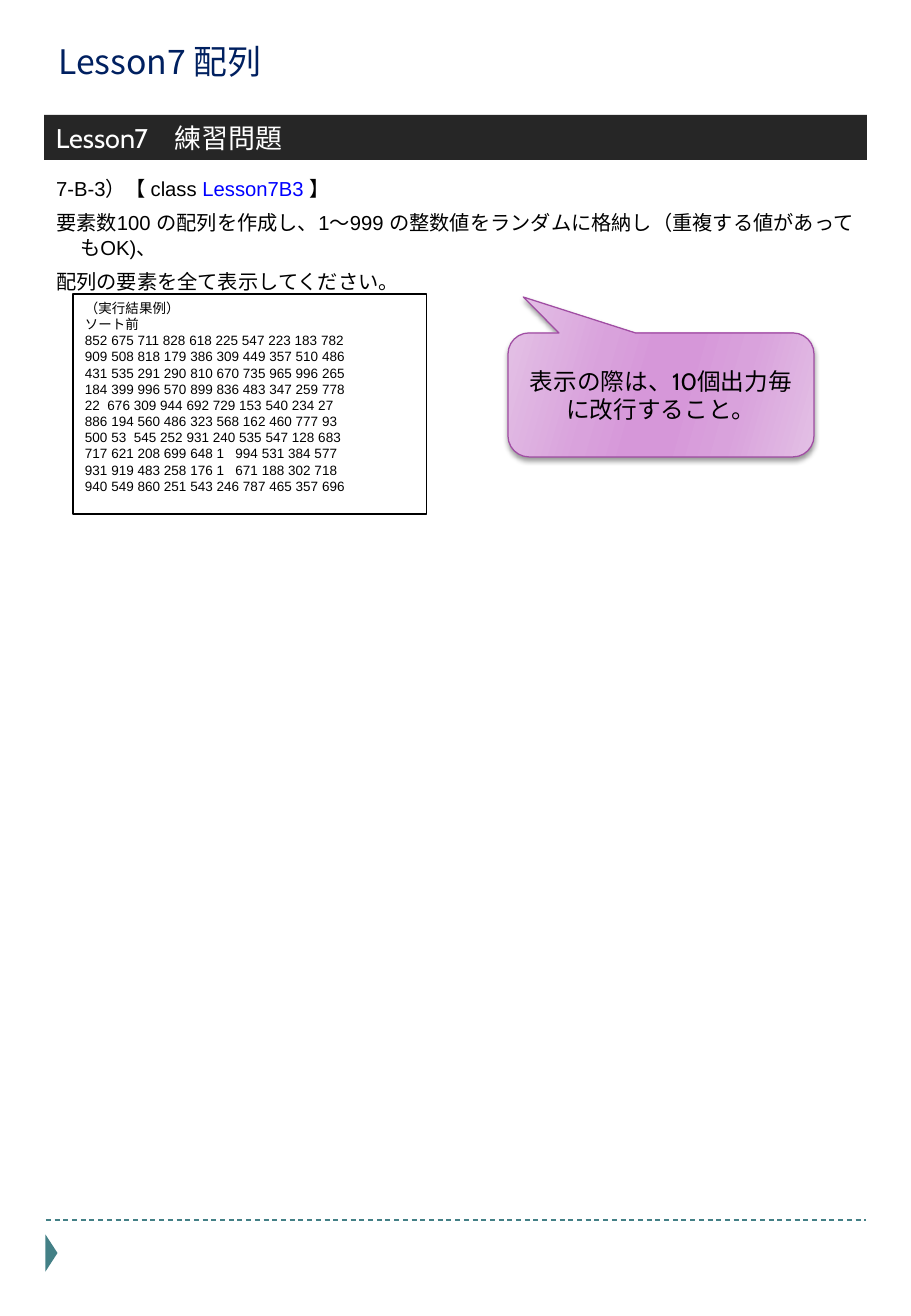
from dataclasses import dataclass

from lxml.etree import SubElement
from pptx import Presentation
from pptx.dml.color import RGBColor
from pptx.enum.dml import MSO_LINE
from pptx.enum.shapes import MSO_CONNECTOR, MSO_SHAPE
from pptx.enum.text import MSO_ANCHOR, MSO_AUTO_SIZE, PP_ALIGN
from pptx.oxml.ns import qn
from pptx.util import Pt

PIXEL = 914400 / 121.5


@dataclass(frozen=True)
class Theme:
    """Colours, fonts and type sizes of the lesson sheet."""
    navy: str = "002060"
    teal: str = "438086"
    charcoal: str = "262626"
    black: str = "000000"
    white: str = "FFFFFF"
    blue: str = "0000FF"
    purple: str = "A04DA3"
    callout_stops: tuple = ((0, "E3C0E5"), (30, "D9A2DC"), (45, "D697D9"),
                            (55, "D697D9"), (73, "D9A2DC"), (100, "E3C0E5"))
    japanese: str = "Noto Sans CJK JP"
    heading: str = "Cabin"
    body: str = "Arial"
    title_size: int = 20
    band_size: int = 16
    callout_size: int = 14
    body_size: int = 12
    result_size: int = 8


theme = Theme()


def px(*lengths):
    """Turn pixel lengths into a list of EMU."""
    return [round(length * PIXEL) for length in lengths]


def write(shape, lines, font, size, anchor=MSO_ANCHOR.TOP, align=PP_ALIGN.LEFT):
    """Fill a shape with lines, each a list of (text, colour) runs."""
    frame = shape.text_frame
    settings = {"word_wrap": True, "auto_size": MSO_AUTO_SIZE.NONE,
                "vertical_anchor": anchor}
    for name, value in settings.items():
        setattr(frame, name, value)
    for index, line in enumerate(lines):
        paragraph = frame.add_paragraph() if index else frame.paragraphs[0]
        paragraph.alignment = align
        for text, colour in line:
            run = paragraph.add_run()
            run.text = text
            run.font.name, run.font.size = font, Pt(size)
            run.font.color.rgb = RGBColor.from_string(colour)
            SubElement(run.font._element, qn("a:ea"), typeface=theme.japanese)


presentation = Presentation()
presentation.slide_width, presentation.slide_height = px(911, 1316)
slide = presentation.slides.add_slide(presentation.slide_layouts[1])
shapes = slide.shapes

# Footer rule
rule = shapes.add_connector(MSO_CONNECTOR.STRAIGHT, *px(46, 1220, 866, 1220))
rule.line.color.rgb = RGBColor.from_string(theme.teal)
rule.line.width = Pt(0.75)
rule.line.dash_style = MSO_LINE.DASH
SubElement(rule._element.spPr, qn("a:effectLst"))

# Title and exercise text
title, exercise = shapes.title, slide.placeholders[1]
for placeholder, frame in ((title, (46, 29, 820, 64)),
                           (exercise, (44, 170, 823, 803))):
    (placeholder.left, placeholder.top,
     placeholder.width, placeholder.height) = px(*frame)

write(title, [[("Lesson7 配列", theme.navy)]],
      theme.japanese, theme.title_size, MSO_ANCHOR.MIDDLE)
write(exercise, [
    [("7-B-3）【 class ", theme.black), ("Lesson7B3", theme.blue), (" 】", theme.black)],
    [("要素数100 の配列を作成し、1～999 の整数値をランダムに格納し"
      "（重複する値があってもOK)、", theme.black)],
    [("配列の要素を全て表示してください。", theme.black)],
], theme.body, theme.body_size)
hanging, = px(24)
for paragraph in exercise.text_frame.paragraphs:
    paragraph.space_before = Pt(6)
    properties = paragraph._p.get_or_add_pPr()
    properties.set("marL", str(hanging))
    properties.set("indent", str(-hanging))
    SubElement(properties, qn("a:buNone"))

# Preset shapes: kind, frame, fill, line colour
parts = {
    "marker": (MSO_SHAPE.ISOSCELES_TRIANGLE, (33, 1247, 37, 12), theme.teal, None),
    "band": (MSO_SHAPE.RECTANGLE, (44, 115, 823, 45), theme.charcoal, None),
    "result": (MSO_SHAPE.RECTANGLE, (73, 294, 354, 220), theme.white, theme.black),
    "callout": (MSO_SHAPE.ROUNDED_RECTANGULAR_CALLOUT, (508, 333, 306, 124),
                None, theme.purple),
}
drawn = {}
for name, (kind, frame, fill, line) in parts.items():
    shape = drawn[name] = shapes.add_shape(kind, *px(*frame))
    shape.shadow.inherit = False
    if fill:
        shape.fill.solid()
        shape.fill.fore_color.rgb = RGBColor.from_string(fill)
    if line:
        shape.line.color.rgb = RGBColor.from_string(line)
        shape.line.width = Pt(0.75)
    else:
        shape.line.fill.background()

drawn["marker"].rotation = 90
write(drawn["band"], [[("Lesson7　練習問題", theme.white)]],
      theme.heading, theme.band_size, MSO_ANCHOR.MIDDLE)

# Sample output, every number padded to four characters
numbers = """
852 675 711 828 618 225 547 223 183 782
909 508 818 179 386 309 449 357 510 486
431 535 291 290 810 670 735 965 996 265
184 399 996 570 899 836 483 347 259 778
22 676 309 944 692 729 153 540 234 27
886 194 560 486 323 568 162 460 777 93
500 53 545 252 931 240 535 547 128 683
717 621 208 699 648 1 994 531 384 577
931 919 483 258 176 1 671 188 302 718
940 549 860 251 543 246 787 465 357 696
""".strip().splitlines()
rows = ["".join(f"{number:<4}" for number in row.split()) for row in numbers]
write(drawn["result"],
      [[(text, theme.black)] for text in ["（実行結果例）", "ソート前", *rows]],
      theme.body, theme.result_size)

# Callout with gradient and soft shadow
callout = drawn["callout"]
for index, value in enumerate((-0.45, -0.79, 0.17)):
    callout.adjustments[index] = value
callout.fill.gradient()
gradient = callout._element.spPr.find(qn("a:gradFill"))
stops = gradient.find(qn("a:gsLst"))
for stop in list(stops):
    stops.remove(stop)
for position, colour in theme.callout_stops:
    stop = SubElement(stops, qn("a:gs"), pos=str(position * 1000))
    SubElement(stop, qn("a:srgbClr"), val=colour)
gradient.find(qn("a:lin")).set("ang", str(16 * 60000))
effects = callout._element.spPr.find(qn("a:effectLst"))
shadow = SubElement(effects, qn("a:outerShdw"), blurRad=str(Pt(3)), dist=str(Pt(2)),
                    dir=str(90 * 60000), rotWithShape="0")
shade = SubElement(shadow, qn("a:srgbClr"), val=theme.black)
SubElement(shade, qn("a:alpha"), val="40000")
write(callout, [[("表示の際は、10個出力毎に改行すること。", theme.black)]],
      theme.heading, theme.callout_size, MSO_ANCHOR.MIDDLE, PP_ALIGN.CENTER)

presentation.save("out.pptx")
